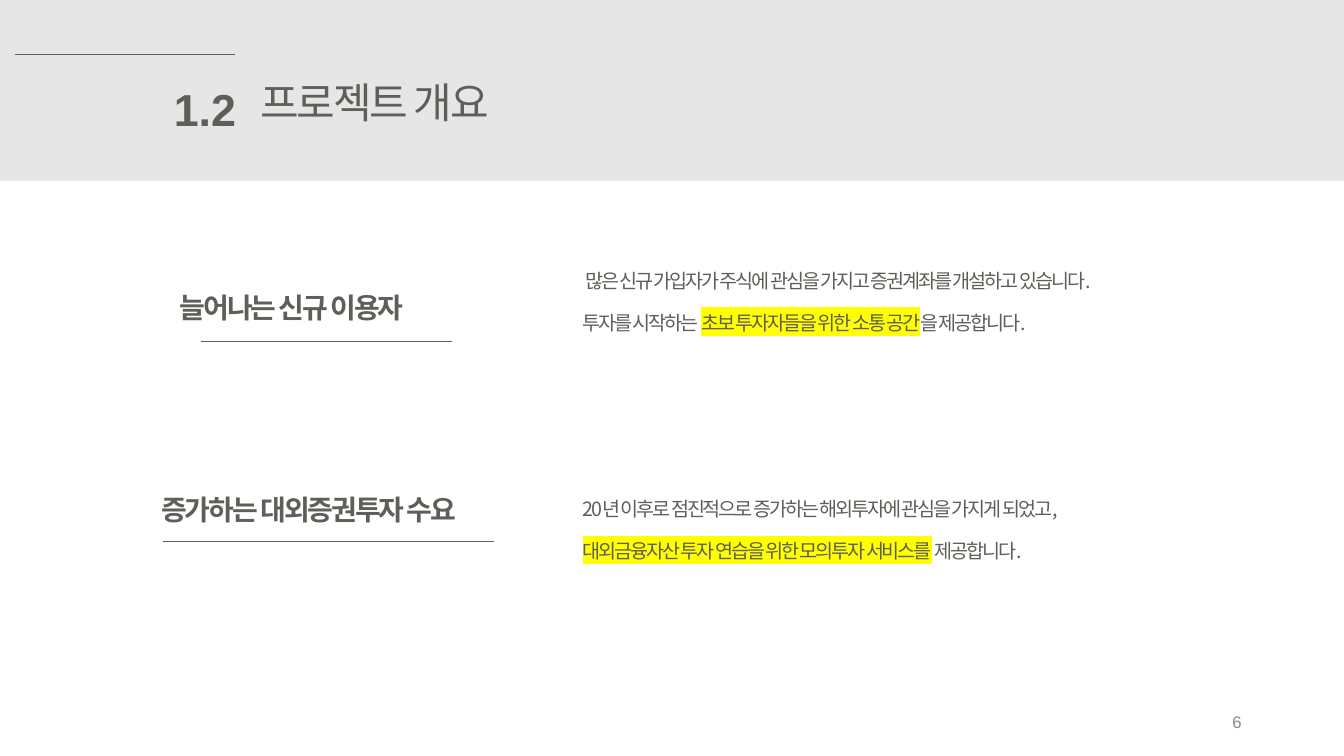
"""Build the project overview slide."""
from dataclasses import dataclass

import lxml.etree
import pptx
import pptx.dml.color
import pptx.enum.shapes
import pptx.enum.text
import pptx.oxml.ns
import pptx.util

WIDTH, HEIGHT = pptx.util.Inches(13.33), pptx.util.Inches(7.5)
COLUMNS, ROWS = 160, 90
INK, BAND, PAGE, MARKER = "5F5E58", "E7E6E6", "898989", "FFFF00"
KOREAN, LATIN = "Noto Sans CJK KR", "Arial"
TIGHT = -150
ALIGN = pptx.enum.text.PP_ALIGN


@dataclass
class Box:
    """A rectangle in grid columns and rows."""
    column: float
    row: float
    columns: float
    rows: float


@dataclass
class Rule:
    """A horizontal line in grid units."""
    start: float
    end: float
    row: float


@dataclass
class Topic:
    """A heading with its underline and explanatory lines of (text, marked) parts."""
    heading: str
    heading_box: Box
    underline: Rule
    body_box: Box
    lines: list[list[tuple[str, bool]]]


TOPICS = [
    Topic("늘어나는 신규 이용자", Box(20.2, 34, 40, 6), Rule(23.9, 53.8, 40.7),
          Box(68.2, 31.4, 87.5, 11),
          [[(" 많은 신규 가입자가 주식에 관심을 가지고 증권계좌를 개설하고 있습니다.", False)],
           [("투자를 시작하는 ", False), ("초보 투자자들을 위한 소통 공간", True),
            ("을 제공합니다.", False)]]),
    Topic("증가하는 대외증권투자 수요", Box(18, 58, 45, 6), Rule(19.4, 58.8, 64.4),
          Box(68.2, 58.6, 87.5, 11),
          [[("20년 이후로 점진적으로 증가하는 해외투자에 관심을 가지게 되었고,", False)],
           [("대외금융자산 투자 연습을 위한 모의투자 서비스를", True),
            (" 제공합니다.", False)]]),
]


def color(value: str) -> pptx.dml.color.RGBColor:
    """Turn a hex string into a colour."""
    return pptx.dml.color.RGBColor.from_string(value)


def across(columns: float) -> int:
    """Convert columns to a length."""
    return round(WIDTH * columns / COLUMNS)


def down(rows: float) -> int:
    """Convert rows to a length."""
    return round(HEIGHT * rows / ROWS)


def place(box: Box) -> tuple[int, int, int, int]:
    """Convert a grid box to left, top, width and height."""
    return across(box.column), down(box.row), across(box.columns), down(box.rows)


def add_text(paragraph, text: str, *, size: float, font: str = KOREAN, ink: str = INK,
             bold: bool = False, spacing: int = 0, marked: bool = False) -> None:
    """Append a formatted run to a paragraph."""
    run = paragraph.add_run()
    run.text = text
    run.font.size = pptx.util.Pt(size)
    run.font.bold = bold
    run.font.color.rgb = color(ink)
    run.font.name = font
    properties = run._r.get_or_add_rPr()
    properties.set("spc", str(spacing))
    name = pptx.oxml.ns.qn
    latin = properties.find(name("a:latin"))
    east_asian = lxml.etree.Element(name("a:ea"), typeface=font)
    latin.addnext(east_asian)
    if marked:
        highlight = lxml.etree.Element(name("a:highlight"))
        lxml.etree.SubElement(highlight, name("a:srgbClr"), val=MARKER)
        latin.addprevious(highlight)


def add_box(slide, box: Box, align=ALIGN.LEFT):
    """Add a wrapping text box and return its text frame."""
    frame = slide.shapes.add_textbox(*place(box)).text_frame
    frame.word_wrap = True
    frame.paragraphs[0].alignment = align
    return frame


def add_rule(slide, rule: Rule) -> None:
    """Draw a thin horizontal line."""
    connector = slide.shapes.add_connector(
        pptx.enum.shapes.MSO_CONNECTOR.STRAIGHT,
        across(rule.start), down(rule.row), across(rule.end), down(rule.row))
    connector.line.color.rgb = color(INK)
    connector.line.width = pptx.util.Pt(0.5)
    properties = connector._element.spPr
    lxml.etree.SubElement(properties, pptx.oxml.ns.qn("a:effectLst"))


def add_header(slide) -> None:
    """Draw the band with the section number and the title."""
    band = slide.shapes.add_shape(
        pptx.enum.shapes.MSO_SHAPE.RECTANGLE, *place(Box(0, 0, COLUMNS, 21.5)))
    band.shadow.inherit = False
    band.fill.solid()
    band.fill.fore_color.rgb = color(BAND)
    band.line.fill.background()
    title = slide.shapes.title
    band._element.getparent().insert(2, band._element)
    title.left, title.top, title.width, title.height = place(Box(29.8, 8.5, 60, 7.3))
    frame = title.text_frame
    frame.auto_size = pptx.enum.text.MSO_AUTO_SIZE.NONE
    frame.vertical_anchor = pptx.enum.text.MSO_ANCHOR.MIDDLE
    frame.paragraphs[0].alignment = ALIGN.LEFT
    add_text(frame.paragraphs[0], "프로젝트 개요", size=30, spacing=TIGHT)
    number = add_box(slide, Box(15, 9.1, 14.3, 7), ALIGN.RIGHT)
    add_text(number.paragraphs[0], "1.2", size=32, font=LATIN, bold=True)
    add_rule(slide, Rule(1.8, 28, 6.5))


def add_topic(slide, topic: Topic) -> None:
    """Draw a heading, its underline and its explanation."""
    heading = add_box(slide, topic.heading_box)
    add_text(heading.paragraphs[0], topic.heading, size=20, bold=True, spacing=TIGHT)
    add_rule(slide, topic.underline)
    frame = add_box(slide, topic.body_box)
    for index, parts in enumerate(topic.lines):
        paragraph = frame.add_paragraph() if index else frame.paragraphs[0]
        if index:
            paragraph.space_before = pptx.util.Pt(13)
        for text, marked in parts:
            add_text(paragraph, text, size=14, spacing=TIGHT, marked=marked)


def main() -> None:
    """Build and save the presentation."""
    presentation = pptx.Presentation()
    presentation.slide_width, presentation.slide_height = WIDTH, HEIGHT
    slide = presentation.slides.add_slide(presentation.slide_layouts[5])
    add_header(slide)
    for topic in TOPICS:
        add_topic(slide, topic)
    page = add_box(slide, Box(143, 84.1, 6, 4), ALIGN.RIGHT)
    add_text(page.paragraphs[0], "6", size=12, font=LATIN, ink=PAGE)
    presentation.save("out.pptx")


if __name__ == "__main__":
    main()
